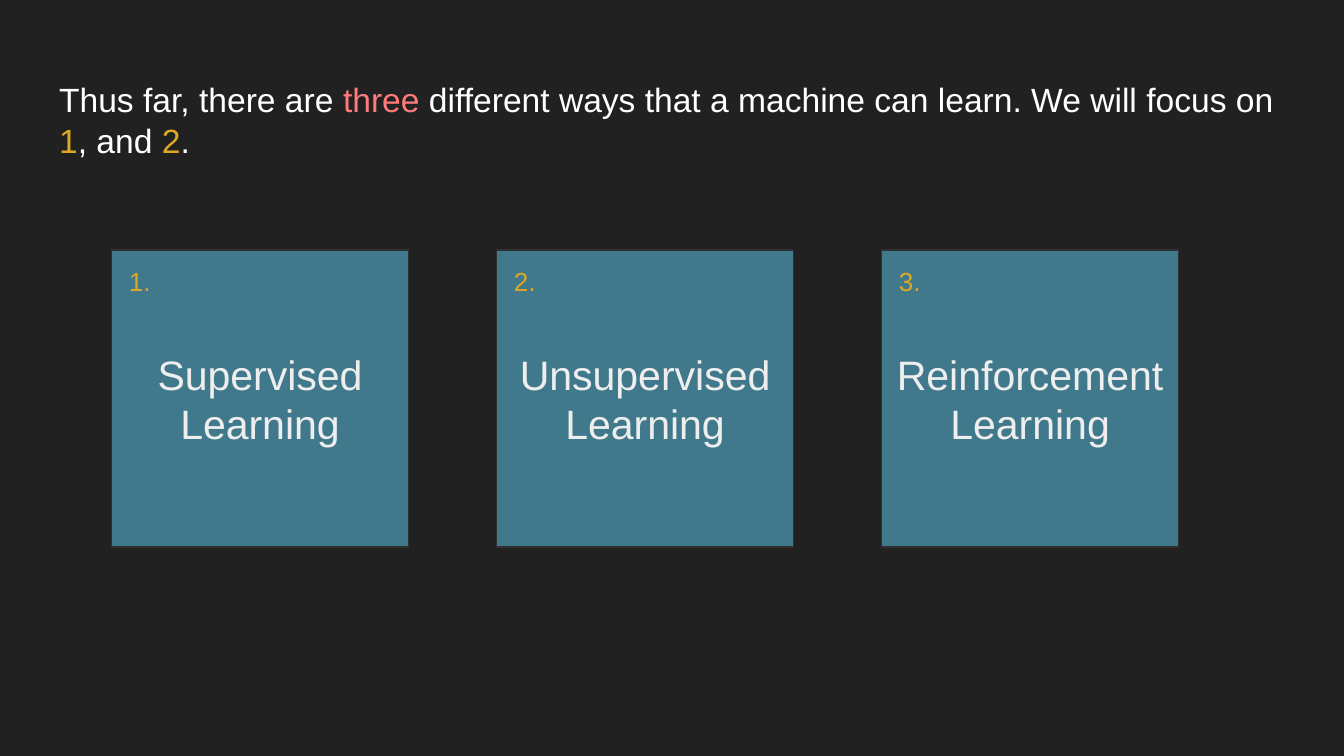
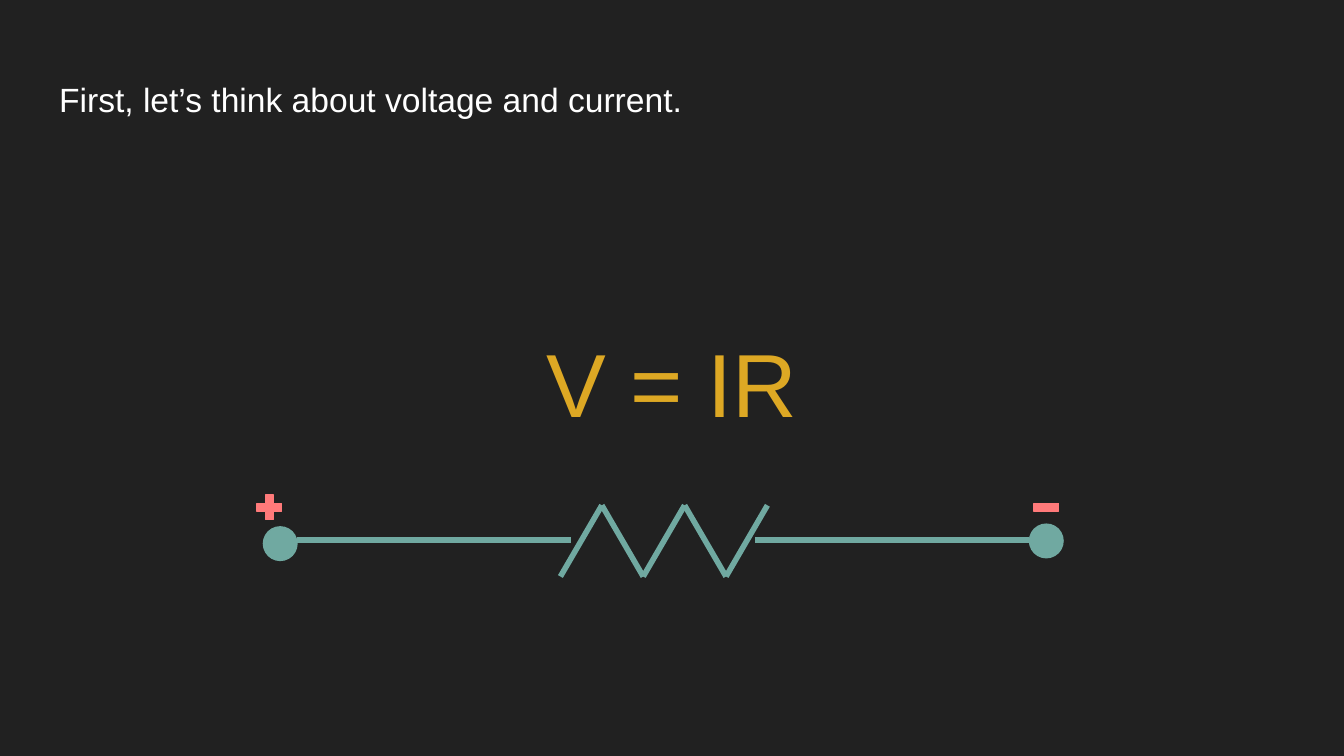
import pptx
import pptx.util
import pptx.dml.color
import pptx.enum.shapes
import pptx.enum.text
import pptx.oxml

inch = pptx.util.Inches
kind = pptx.enum.shapes.MSO_SHAPE
align = pptx.enum.text.PP_ALIGN
anchor = pptx.enum.text.MSO_ANCHOR
hues = {"back": "212121", "white": "FFFFFF", "pale": "EEEEEE", "rose": "FF7A7A",
        "gold": "DDA824", "blue": "40798C", "edge": "303030", "teal": "70A9A1"}
ink = {name: pptx.dml.color.RGBColor.from_string(code) for name, code in hues.items()}

deck = pptx.Presentation()
deck.slide_width = inch(10)
deck.slide_height = inch(10 * 9 / 16)
fill = deck.slide_master.background.fill
fill.solid()
fill.fore_color.rgb = ink["back"]


def write(shape, parts, size, side=align.CENTER, level=anchor.MIDDLE):
    """Fill a shape with one paragraph of (text, colour) runs."""
    frame = shape.text_frame
    frame.word_wrap = True
    frame.auto_size = pptx.enum.text.MSO_AUTO_SIZE.NONE
    frame.vertical_anchor = level
    frame.margin_left = frame.margin_right = inch(0.1)
    frame.margin_top = frame.margin_bottom = inch(0.1)
    par = frame.paragraphs[0]
    par.alignment = side
    for text, hue in parts:
        run = par.add_run()
        run.text = text
        run.font.name = "Arial"
        run.font.size = pptx.util.Pt(size)
        run.font.color.rgb = ink[hue]


def draw(slide, form, box, hue, edge):
    shape = slide.shapes.add_shape(form, *map(inch, box))
    shape.shadow.inherit = False
    shape.fill.solid()
    shape.fill.fore_color.rgb = ink[hue]
    shape.line.color.rgb = ink[edge]
    shape.line.width = pptx.util.Pt(0.75)
    return shape


# Both slides share the title style
heads = [
    [("Thus far, there are ", "white"), ("three ", "rose"),
     ("different ways that a machine can learn. We will focus on ", "white"),
     ("1", "gold"), (", and ", "white"), ("2", "gold"), (".", "white")],
    [("First, let’s think about voltage and current.", "white")],
]
slides = []
for head in heads:
    slide = deck.slides.add_slide(deck.slide_layouts[5])
    title = slide.shapes.title
    title.left, title.top = inch(0.34), inch(0.49)
    title.width, title.height = inch(9.32), inch(0.63)
    write(title, head, 18, align.LEFT, anchor.TOP)
    slides.append(slide)
ways, ohm = slides

# Three ways of learning
left, top, side = 0.83, 1.86, 2.21
step = (6.56 - left) / 2
names = ["Supervised", "Unsupervised", "Reinforcement"]
for col, name in enumerate(names):
    card = draw(ways, kind.RECTANGLE, (left + col * step, top, side, side), "blue", "edge")
    write(card, [(f"{name} Learning", "pale")], 22)
for col in range(len(names)):
    label = ways.shapes.add_textbox(inch(left + col * step), inch(top), inch(0.42), inch(0.46))
    write(label, [(f"{col + 1}.", "gold")], 14)

# Formula, lifted above the circuit by a deep bottom margin
law = ohm.shapes.add_textbox(inch(0.34), inch(1.26), inch(9.32), inch(3.74))
write(law, [("V = IR", "gold")], 48)
law.text_frame.margin_bottom = inch(0.8)
law.text_frame.paragraphs[0].line_spacing = 1.15

# Circuit: a zigzag resistor between two wires
mid, low, high = 4.02, 4.29, 3.76
zig = [(4.17 + 1.54 * i / 5, high if i % 2 else low) for i in range(6)]
wires = [((2.21, mid), (4.25, mid)), ((5.62, mid), (7.66, mid))]
for start, end in wires + list(zip(zig, zig[1:])):
    line = ohm.shapes.add_connector(
        pptx.enum.shapes.MSO_CONNECTOR.STRAIGHT, *map(inch, start + end))
    line.line.color.rgb = ink["teal"]
    line.line.width = pptx.util.Pt(3)
    line._element.spPr.append(pptx.oxml.parse_xml(
        '<a:effectLst xmlns:a="http://schemas.openxmlformats.org/drawingml/2006/main"/>'))

# Terminals and their signs
dot = 0.25
for form, x, y, hue in [(kind.OVAL, 1.96, 3.92, "teal"), (kind.OVAL, 7.66, 3.9, "teal"),
                        (kind.MATH_PLUS, 1.88, 3.65, "rose"),
                        (kind.MATH_MINUS, 7.66, 3.65, "rose")]:
    mark = draw(ohm, form, (x, y, dot, dot), hue, hue)
    if hue == "rose":
        mark.adjustments[0] = 0.24

deck.save("out.pptx")
